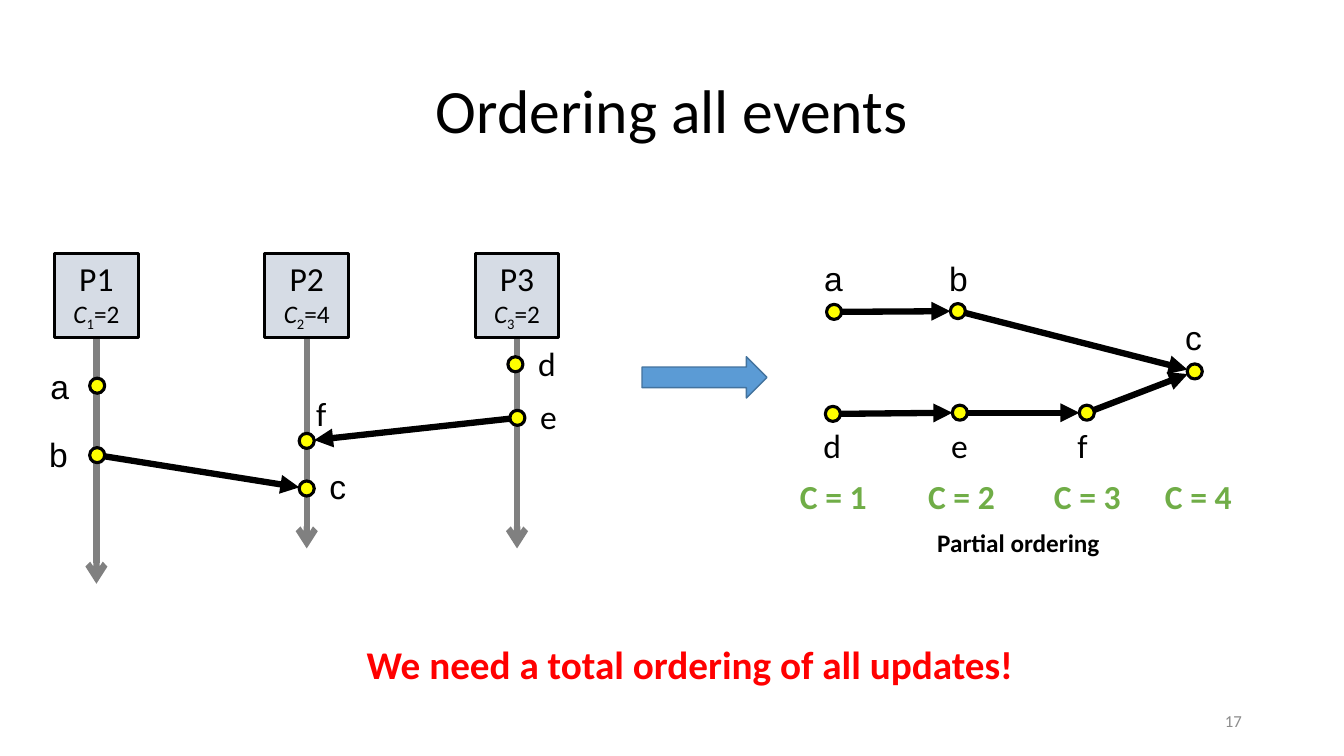
from math import hypot

from lxml import etree
from pptx import Presentation
from pptx.dml.color import RGBColor
from pptx.enum.shapes import MSO_CONNECTOR, MSO_SHAPE
from pptx.enum.text import MSO_ANCHOR, PP_ALIGN
from pptx.oxml.ns import qn
from pptx.util import Cm, Pt

STRAIGHT = MSO_CONNECTOR.STRAIGHT
OVAL, PROCESS, RIGHT_ARROW = MSO_SHAPE.OVAL, MSO_SHAPE.FLOWCHART_PROCESS, MSO_SHAPE.RIGHT_ARROW
LEFT, CENTER, RIGHT = PP_ALIGN.LEFT, PP_ALIGN.CENTER, PP_ALIGN.RIGHT
TOP, MIDDLE = MSO_ANCHOR.TOP, MSO_ANCHOR.MIDDLE

COLORS = {"ink": "000000", "event": "FFFF00", "process": "D6DCE5", "timeline": "808080",
          "clock": "70AD47", "arrow": "5B9BD5", "arrow_edge": "43739E",
          "alert": "FF0000", "number": "8C8C8C"}

PROCESSES = [("P1", "1", "=2", 14.71), ("P2", "2", "=4", 13.82), ("P3", "3", "=2", 13.82)]

# name: (dot centre, label corner)
TIMELINE_EVENTS = {
    "a": ((2.45, 9.72), (1.02, 9.09)),
    "b": ((2.45, 11.47), (0.99, 10.82)),
    "c": ((7.73, 12.31), (8.05, 11.61)),
    "d": ((12.99, 9.18), (13.31, 8.51)),
    "e": ((13.04, 10.53), (13.36, 9.86)),
    "f": ((7.73, 11.11), (7.72, 9.78)),
}
ORDER_EVENTS = {
    "a": ((21.02, 7.86), (20.52, 6.38)),
    "b": ((24.14, 7.84), (23.67, 6.38)),
    "c": ((30.11, 9.36), (29.62, 7.87)),
    "d": ((20.99, 10.43), (20.5, 10.59)),
    "e": ((24.19, 10.4), (23.72, 10.59)),
    "f": ((27.39, 10.4), (26.9, 10.59)),
}
DIAGRAMS = [(TIMELINE_EVENTS, ["bc", "ef"]), (ORDER_EVENTS, ["ab", "bc", "de", "ef", "fc"])]
ARIAL_EVENTS = "abc"
CLOCKS = [("C = 1", 19.91), ("C = 2", 23.14), ("C = 3", 26.31), ("C = 4", 29.11)]

DOT = 0.38
PROCESS_SIZE, PROCESS_TOP = 2.11, 6.39
FIRST_TIMELINE, TIMELINE_STEP = 2.43, 5.3

prs = Presentation()
prs.slide_width, prs.slide_height = Cm(33.87), Cm(19.05)
slide = prs.slides.add_slide(prs.slide_layouts[6])


def color(name):
    return RGBColor.from_string(COLORS[name])


def write(paragraph, text, size=24, font="Calibri", ink="ink", bold=False, italic=False,
          baseline=0):
    run = paragraph.add_run()
    run.text = text
    run.font.size, run.font.name = Pt(size), font
    run.font.bold, run.font.italic = bold, italic
    run.font.color.rgb = color(ink)
    if baseline:
        run.font._element.set("baseline", str(baseline))


def add_text(text, left, top, width, height, align=LEFT, anchor=TOP, wrap=True, spacing=None,
             **style):
    frame = slide.shapes.add_textbox(Cm(left), Cm(top), Cm(width), Cm(height)).text_frame
    frame.word_wrap, frame.vertical_anchor = wrap, anchor
    paragraph = frame.paragraphs[0]
    paragraph.alignment, paragraph.line_spacing = align, spacing
    write(paragraph, text, **style)


def add_shape(kind, left, top, width, height, fill, edge="ink", weight=2.25):
    shape = slide.shapes.add_shape(kind, Cm(left), Cm(top), Cm(width), Cm(height))
    shape.shadow.inherit = False
    shape.fill.solid()
    shape.fill.fore_color.rgb = color(fill)
    shape.line.color.rgb = color(edge)
    shape.line.width = Pt(weight)
    return shape


def add_arrow(start, end, ink, head):
    arrow = slide.shapes.add_connector(STRAIGHT, *map(Cm, start + end))
    arrow.line.color.rgb = color(ink)
    arrow.line.width = Pt(4.5)
    etree.SubElement(arrow.line._get_or_add_ln(), qn("a:tailEnd"), type=head)
    etree.SubElement(arrow._element.spPr, qn("a:effectLst"))


def add_message(start, end):
    (x1, y1), (x2, y2) = start, end
    trim = DOT / 2 / hypot(x2 - x1, y2 - y1)
    dx, dy = (x2 - x1) * trim, (y2 - y1) * trim
    add_arrow((x1 + dx, y1 + dy), (x2 - dx, y2 - dy), "ink", "triangle")


def add_process(index, name, subscript, value, timeline_end):
    x = FIRST_TIMELINE + index * TIMELINE_STEP
    add_arrow((x, PROCESS_TOP + PROCESS_SIZE), (x, timeline_end), "timeline", "arrow")
    box = add_shape(PROCESS, x - PROCESS_SIZE / 2, PROCESS_TOP, PROCESS_SIZE, PROCESS_SIZE,
                    "process")
    frame = box.text_frame
    frame.vertical_anchor = MIDDLE
    title, clock = frame.paragraphs[0], frame.add_paragraph()
    title.alignment = clock.alignment = CENTER
    write(title, name)
    write(clock, "C", size=18, italic=True)
    write(clock, subscript, size=18, baseline=-25000)
    write(clock, value, size=18)


add_text("Ordering all events", 2.33, 1.01, 29.21, 3.68, align=CENTER, anchor=MIDDLE,
         spacing=0.9, size=44)

for index, process in enumerate(PROCESSES):
    add_process(index, *process)

for events, messages in DIAGRAMS:
    for source, target in messages:
        add_message(events[source][0], events[target][0])
    for name, ((x, y), (label_left, label_top)) in events.items():
        add_shape(OVAL, x - DOT / 2, y - DOT / 2, DOT, DOT, "event")
        add_text(name, label_left, label_top, 1, 1.27, wrap=False,
                 font="Arial" if name in ARIAL_EVENTS else "Calibri")

for clock, left in CLOCKS:
    add_text(clock, left, 11.86, 2.21, 1.27, wrap=False, ink="clock", bold=True)

add_text("Partial ordering", 23.37, 13.16, 5.44, 1.02, size=18, bold=True)
add_shape(RIGHT_ARROW, 16.18, 8.99, 3.15, 1.04, "arrow", "arrow_edge", 1)
add_text("We need a total ordering of all updates!", 8.99, 16, 18.42, 1.45, size=28,
         ink="alert", bold=True)
add_text("17", 23.93, 17.65, 7.62, 1.02, align=RIGHT, anchor=MIDDLE, size=12, ink="number")

prs.save("out.pptx")
